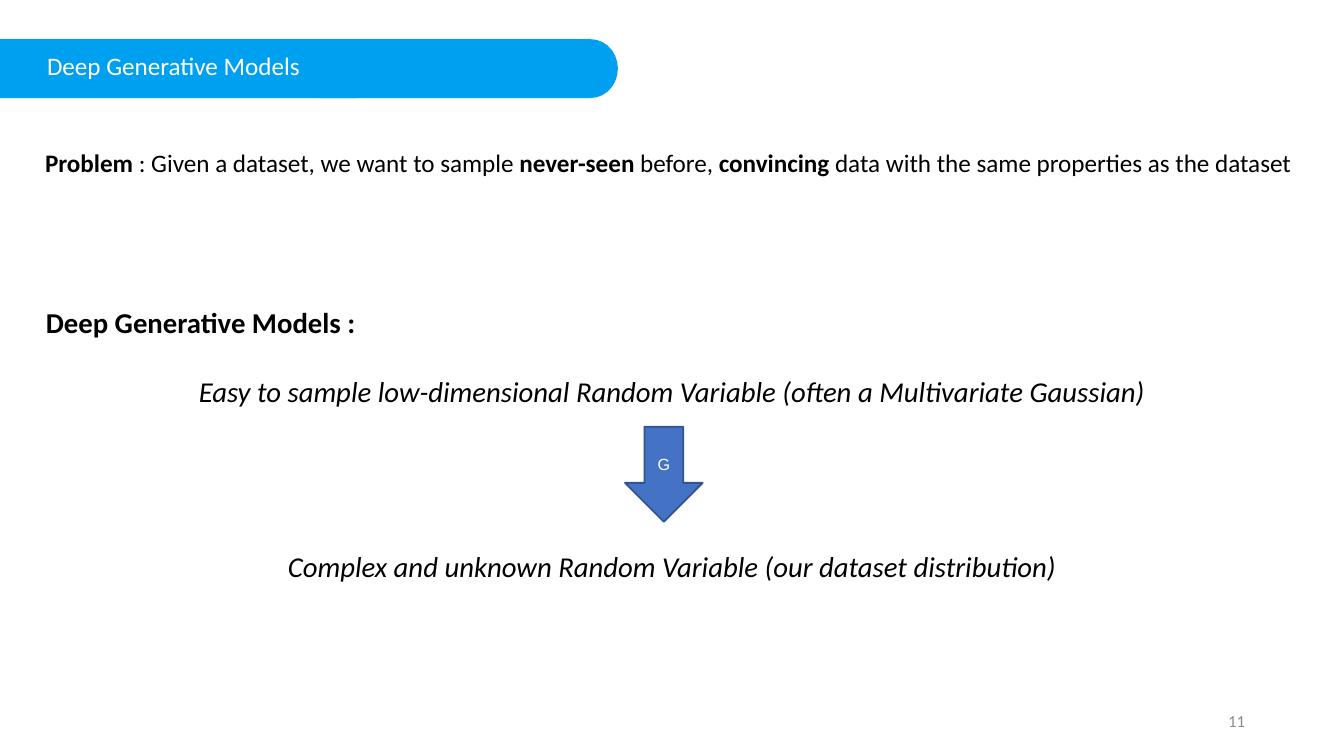
from dataclasses import dataclass
from math import cos, pi, sin

from pptx import Presentation
from pptx.dml.color import RGBColor
from pptx.enum.shapes import MSO_SHAPE
from pptx.enum.text import MSO_ANCHOR as Anchor, PP_ALIGN as Align
from pptx.util import Cm, Pt


@dataclass(frozen=True)
class Theme:
    """Colours, fonts and type sizes of the slide."""
    band: RGBColor = RGBColor(0x00, 0xA0, 0xF0)
    arrow: RGBColor = RGBColor(0x44, 0x72, 0xC4)
    arrow_edge: RGBColor = RGBColor(0x32, 0x54, 0x91)
    ink: RGBColor = RGBColor(0x00, 0x00, 0x00)
    light: RGBColor = RGBColor(0xFF, 0xFF, 0xFF)
    muted: RGBColor = RGBColor(0x8B, 0x8B, 0x8B)
    font: str = "Calibri"
    arrow_font: str = "Arial"
    lead: float = 28
    statement: float = 32
    line_height: float = 39
    label: float = 18
    number: float = 18.7


THEME = Theme()
ARC_STEPS = 14


def style(para, size, color, name=THEME.font, bold=False, italic=False, align=Align.LEFT):
    """Set the alignment and font of a paragraph."""
    para.alignment = align
    font = para.font
    font.name, font.size, font.color.rgb = name, Pt(size), color
    font.bold, font.italic = bold, italic


def add_band(page, left, right, bulge):
    """Draw a header band whose right end is half an ellipse."""
    top, height = 1.54, 2.31
    radius = height / 2
    angles = [pi * (step / ARC_STEPS - 0.5) for step in range(ARC_STEPS + 1)]
    arc = [(Cm(right - bulge + bulge * cos(angle)), Cm(top + radius + radius * sin(angle)))
           for angle in angles]
    builder = page.shapes.build_freeform(Cm(left), Cm(top))
    builder.add_line_segments(arc + [(Cm(left), Cm(top + height))], close=True)
    band = builder.convert_to_shape()
    band.shadow.inherit = False
    band.fill.solid()
    band.fill.fore_color.rgb = THEME.band
    band.line.fill.background()


def place_title(page, words):
    """Place the title placeholder in front of the header bands."""
    title = page.shapes.title
    title.left, title.top, title.width, title.height = Cm(1.85), Cm(1.98), Cm(26.67), Cm(1.22)
    frame = title.text_frame
    frame.text = words
    frame.vertical_anchor = Anchor.TOP
    frame.margin_left = frame.margin_top = frame.margin_right = frame.margin_bottom = 0
    style(frame.paragraphs[0], THEME.lead, THEME.light)
    page.shapes.element.append(title.element)


def add_box(page, left, top, width, height, anchor=Anchor.TOP):
    """Add a wrapping text box and return its text frame."""
    frame = page.shapes.add_textbox(Cm(left), Cm(top), Cm(width), Cm(height)).text_frame
    frame.word_wrap = True
    frame.vertical_anchor = anchor
    return frame


def add_problem(page, parts):
    """Write the problem sentence, with every other part in bold."""
    para = add_box(page, 1.52, 5.66, 49.73, 1.45).paragraphs[0]
    style(para, THEME.lead, THEME.ink)
    for index, words in enumerate(parts):
        span = para.add_run()
        span.text = words
        span.font.bold = index % 2 == 0


def add_statements(page, heading, source, target):
    """Write the heading and the two variables that the arrow links."""
    frame = add_box(page, 1.55, 11.84, 49.73, 11.2)
    first = frame.paragraphs[0]
    first.text = heading
    style(first, THEME.statement, THEME.ink, bold=True)
    for words, gap_lines in ((source, 1), (target, 4)):
        para = frame.add_paragraph()
        para.text = words
        para.space_before = Pt(gap_lines * THEME.line_height)
        style(para, THEME.statement, THEME.ink, italic=True, align=Align.CENTER)


def add_arrow(page, label):
    """Draw the labelled arrow between the two variables."""
    arrow = page.shapes.add_shape(MSO_SHAPE.DOWN_ARROW, Cm(24.56), Cm(16.76), Cm(3.05), Cm(3.73))
    arrow.shadow.inherit = False
    arrow.fill.solid()
    arrow.fill.fore_color.rgb = THEME.arrow
    arrow.line.color.rgb = THEME.arrow_edge
    arrow.line.width = Pt(2)
    frame = arrow.text_frame
    frame.text = label
    frame.vertical_anchor = Anchor.MIDDLE
    style(frame.paragraphs[0], THEME.label, THEME.light, THEME.arrow_font, align=Align.CENTER)


def add_page_number(page, number):
    """Write the page number at the lower right."""
    para = add_box(page, 37.29, 27.53, 11.89, 1.57, Anchor.MIDDLE).paragraphs[0]
    para.text = number
    style(para, THEME.number, THEME.muted, align=Align.RIGHT)


def main():
    """Build the slide and save it."""
    deck = Presentation()
    deck.slide_width, deck.slide_height = Cm(52.81), Cm(29.69)
    page = deck.slides.add_slide(deck.slide_layouts.get_by_name("Title Only"))
    add_band(page, 0, 15.39, 1.4)
    add_band(page, 12.57, 24.28, 1.07)
    place_title(page, "Deep Generative Models")
    add_page_number(page, "11")
    add_problem(page, (
        "Problem ", ": Given a dataset, we want to sample ", "never-seen", " before, ",
        "convincing", " data with the same properties as the dataset"))
    add_statements(
        page, "Deep Generative Models :",
        "Easy to sample low-dimensional Random Variable (often a Multivariate Gaussian)",
        "Complex and unknown Random Variable (our dataset distribution)")
    add_arrow(page, "G")
    deck.save("out.pptx")


if __name__ == "__main__":
    main()
